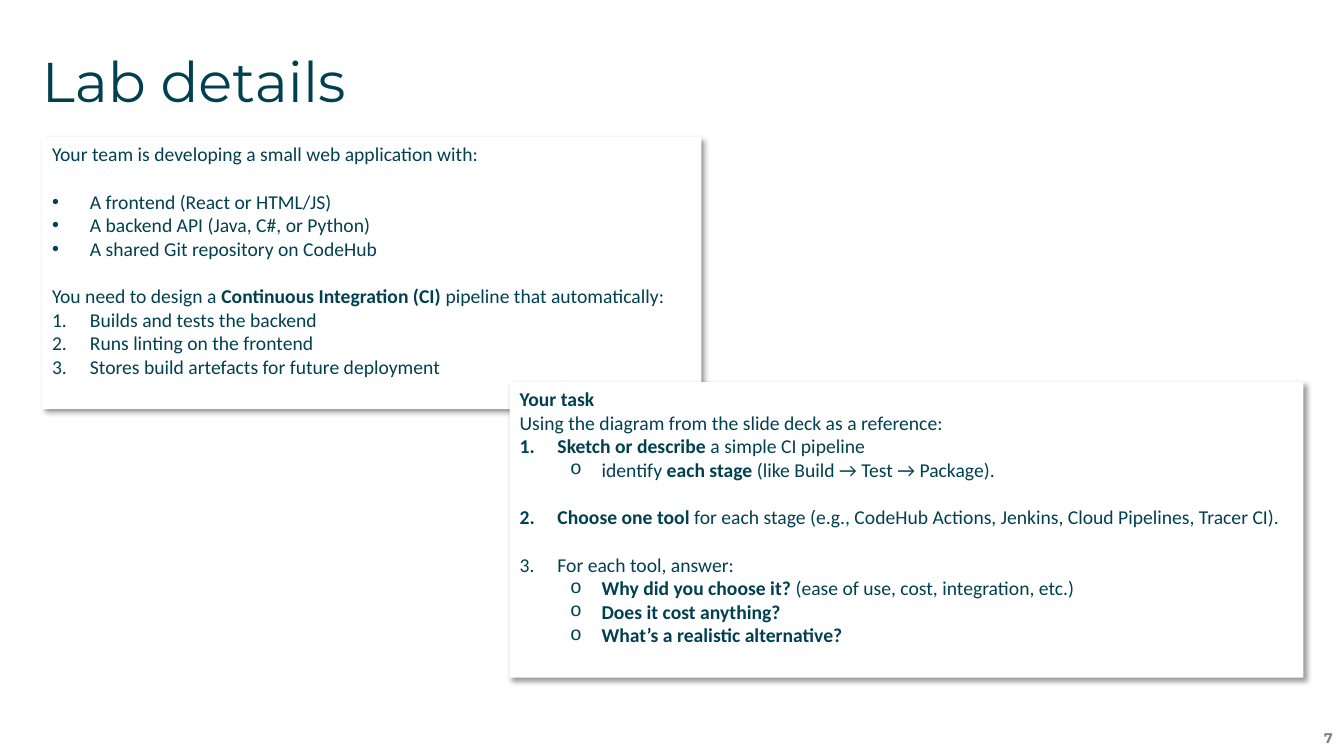
from lxml.etree import SubElement
from pptx import Presentation
from pptx.dml.color import RGBColor
from pptx.enum.text import MSO_ANCHOR, MSO_AUTO_SIZE, PP_ALIGN
from pptx.oxml import parse_xml
from pptx.oxml.ns import nsdecls, qn
from pptx.util import Pt

TEAL = RGBColor(0x00, 0x40, 0x50)
GREY = RGBColor(0x80, 0x80, 0x80)
WHITE = RGBColor(0xFF, 0xFF, 0xFF)

LINE_GAP = 17
# kind: (level, left margin, hanging indent)
INDENTS = {None: (0, 0, 0), "dot": (0, 27, 27), "number": (0, 27, 27), "circle": (1, 58.5, 22.5)}
BULLET_CHARS = {"dot": ("Arial", "•"), "circle": ("Courier New", "o")}

# (text with **bold** parts, bullet kind, space before)
PROJECT = [
    ("Your team is developing a small web application with:", None, 0),
    ("A frontend (React or HTML/JS)", "dot", LINE_GAP),
    ("A backend API (Java, C#, or Python)", "dot", 0),
    ("A shared Git repository on CodeHub", "dot", 0),
    ("You need to design a **Continuous Integration (CI)** pipeline that automatically:", None, LINE_GAP),
    ("Builds and tests the backend", "number", 0),
    ("Runs linting on the frontend", "number", 0),
    ("Stores build artefacts for future deployment", "number", 0),
]
TASK = [
    ("**Your task**", None, 0),
    ("Using the diagram from the slide deck as a reference:", None, 0),
    ("**Sketch or describe** a simple CI pipeline", "number", 0),
    ("identify **each stage** (like Build → Test → Package).", "circle", 0),
    ("**Choose one tool** for each stage (e.g., CodeHub Actions, Jenkins, Cloud Pipelines, Tracer CI).",
     "number", LINE_GAP),
    ("For each tool, answer:", "number", LINE_GAP),
    ("**Why did you choose it?** (ease of use, cost, integration, etc.)", "circle", 0),
    ("**Does it cost anything?**", "circle", 0),
    ("**What’s a realistic alternative?**", "circle", 0),
]


def set_bullet(paragraph, kind):
    level, margin, hanging = INDENTS[kind]
    paragraph.level = level
    properties = paragraph._p.get_or_add_pPr()
    properties.set("marL", str(Pt(margin)))
    properties.set("indent", str(-Pt(hanging)))
    if kind is None:
        SubElement(properties, qn("a:buNone"))
    elif kind == "number":
        SubElement(properties, qn("a:buFont"), typeface="+mj-lt")
        SubElement(properties, qn("a:buAutoNum"), type="arabicPeriod")
    else:
        typeface, char = BULLET_CHARS[kind]
        SubElement(properties, qn("a:buFont"), typeface=typeface)
        SubElement(properties, qn("a:buChar"), char=char)


def add_text(frame, text, *, size=14, font="Calibri", color=TEAL, bullet=None,
             space_before=0, align=PP_ALIGN.LEFT):
    """Add one paragraph; parts between ** marks are bold."""
    first = frame.paragraphs[0]
    paragraph = frame.add_paragraph() if first.runs else first
    set_bullet(paragraph, bullet)
    paragraph.alignment = align
    paragraph.line_spacing = 1.0
    paragraph.space_before = Pt(space_before)
    paragraph.space_after = Pt(0)
    for index, part in enumerate(text.split("**")):
        if part:
            run = paragraph.add_run()
            run.text = part
            run.font.name = font
            run.font.size = Pt(size)
            run.font.bold = index % 2 == 1
            run.font.color.rgb = color


def place(shape, left, top, width, height):
    shape.left, shape.top = Pt(left), Pt(top)
    shape.width, shape.height = Pt(width), Pt(height)


def set_frame(shape, anchor, side=0, edge=0):
    frame = shape.text_frame
    frame.word_wrap = True
    frame.auto_size = MSO_AUTO_SIZE.NONE
    frame.vertical_anchor = anchor
    frame.margin_left = frame.margin_right = Pt(side)
    frame.margin_top = frame.margin_bottom = Pt(edge)
    return frame


def add_shadow(shape):
    shape._element.spPr.append(parse_xml(
        f'<a:effectLst {nsdecls("a")}>'
        f'<a:outerShdw blurRad="{Pt(4)}" dist="{Pt(3)}" dir="2700000" algn="tl" rotWithShape="0">'
        '<a:srgbClr val="000000"><a:alpha val="40000"/></a:srgbClr>'
        '</a:outerShdw></a:effectLst>'))


def fill_card(card, lines, left, top, width, height):
    place(card, left, top, width, height)
    card.fill.solid()
    card.fill.fore_color.rgb = WHITE
    card.line.fill.background()
    add_shadow(card)
    frame = set_frame(card, MSO_ANCHOR.TOP, side=7.2, edge=3.6)
    for text, bullet, space_before in lines:
        add_text(frame, text, bullet=bullet, space_before=space_before)


def main():
    presentation = Presentation()
    presentation.slide_width, presentation.slide_height = Pt(960), Pt(540)
    slide = presentation.slides.add_slide(presentation.slide_layouts[3])
    title, project, task = slide.placeholders

    place(title, 30, 30, 901, 54)
    add_text(set_frame(title, MSO_ANCHOR.MIDDLE), "Lab details", size=40, font="Montserrat")

    fill_card(project, PROJECT, 30, 98, 471, 194)
    fill_card(task, TASK, 364, 273, 567, 211)

    page_number = slide.shapes.add_textbox(Pt(890), Pt(518.4), Pt(62), Pt(14.4))
    add_text(set_frame(page_number, MSO_ANCHOR.BOTTOM), "**7**", size=10, font="Montserrat",
             color=GREY, align=PP_ALIGN.RIGHT)

    presentation.save("out.pptx")


if __name__ == "__main__":
    main()
